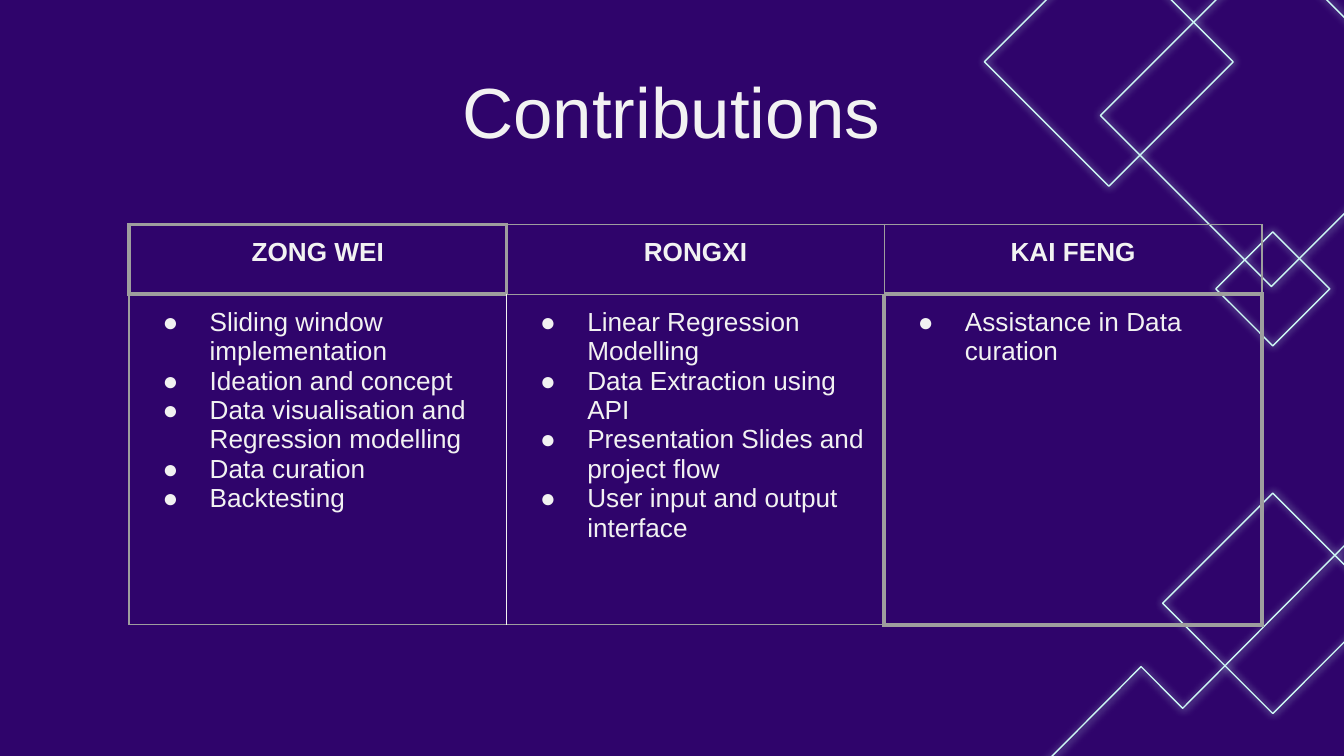
from lxml import etree
from pptx import Presentation, util as u
from pptx.dml.color import RGBColor
from pptx.enum import shapes, text
from pptx.oxml.ns import qn

WIDTH = 10
HEIGHT = WIDTH * 9 / 16
PURPLE, CYAN, WHITE, GREY = "2F046B", "CDF8F4", "F2F2F2", "9E9E9E"
THIN, THICK = 0.75, 2.25

# Centre x, centre y and side of each diamond
DIAMONDS = [(9.46, 0.86, 1.8), (8.25, 0.46, 1.31), (9.47, 2.15, 0.6), (9.47, 4.49, 1.16)]
ZIGZAG = [(10.39, 3.67), (8.8, 5.27), (8.49, 4.96), (6.74, 6.72)]

CONTRIBUTIONS = {
    "ZONG WEI": ["Sliding window implementation", "Ideation and concept",
                 "Data visualisation and Regression modelling",
                 "Data curation", "Backtesting"],
    "RONGXI": ["Linear Regression Modelling", "Data Extraction using API",
               "Presentation Slides and project flow",
               "User input and output interface"],
    "KAI FENG": ["Assistance in Data curation"],
}

# Widths of the left, right, top and bottom borders, by row and column
BORDERS = [
    [(THICK, THICK, THICK, THICK), (THICK, THIN, THIN, THIN), (THIN, THIN, THIN, THICK)],
    [(THIN, THIN, THICK, THIN), (THIN, THICK, THIN, THIN), (THICK, THICK, THICK, THICK)],
]
# The divider between the first two lists is white
WHITE_EDGES = {(1, 0, "R"), (1, 1, "L")}


def color(hex_string):
    return RGBColor.from_string(hex_string)


def add_color(parent, hex_string):
    return etree.SubElement(parent, qn("a:srgbClr"), val=hex_string)


def style_text(paragraph, size, bold=False):
    font = paragraph.font
    font.name, font.size, font.bold = "Arial", u.Pt(size), bold
    font.color.rgb = color(WHITE)


def glow_outline(shape):
    shape.fill.background()
    shape.line.color.rgb = color(CYAN)
    shape.line.width = u.Pt(THIN)
    shape.shadow.inherit = False
    effects = shape.element.spPr.find(qn("a:effectLst"))
    glow = etree.SubElement(effects, qn("a:outerShdw"), blurRad=str(u.Pt(4.5)),
                            dist="0", dir="0", algn="ctr", rotWithShape="0")
    add_color(glow, CYAN)


def add_diamond(slide, x, y, side):
    diamond = slide.shapes.add_shape(
        shapes.MSO_SHAPE.RECTANGLE, u.Inches(x - side / 2), u.Inches(y - side / 2),
        u.Inches(side), u.Inches(side))
    diamond.rotation = 45
    glow_outline(diamond)


def add_zigzag(slide, points):
    start, *rest = [(u.Inches(x), u.Inches(y)) for x, y in points]
    builder = slide.shapes.build_freeform(*start)
    builder.add_line_segments(rest, close=False)
    glow_outline(builder.convert_to_shape())


def place_title(slide, words):
    title = slide.shapes.title
    title.left, title.top = u.Inches(-0.57), u.Inches(-0.2)
    title.width, title.height = u.Inches(11.13), u.Inches(1.95)
    frame = title.text_frame
    frame.text = words
    frame.word_wrap = True
    frame.auto_size = text.MSO_AUTO_SIZE.NONE
    frame.vertical_anchor = text.MSO_ANCHOR.MIDDLE
    frame.margin_left = frame.margin_right = u.Inches(0.1)
    frame.margin_top = frame.margin_bottom = u.Inches(0.1)
    heading = frame.paragraphs[0]
    heading.alignment = text.PP_ALIGN.CENTER
    heading.line_spacing = 1.15
    style_text(heading, 38)
    # Bring the title in front of the decoration
    title.element.getparent().append(title.element)


def set_borders(cell, row, column):
    properties = cell._tc.get_or_add_tcPr()
    for index, (side, width) in enumerate(zip("LRTB", BORDERS[row][column])):
        edge = etree.Element(qn(f"a:ln{side}"), w=str(u.Pt(width)))
        fill = etree.SubElement(edge, qn("a:solidFill"))
        add_color(fill, WHITE if (row, column, side) in WHITE_EDGES else GREY)
        properties.insert(index, edge)


def add_bullet(paragraph):
    properties = paragraph._p.get_or_add_pPr()
    properties.set("marL", str(u.Inches(0.5)))
    properties.set("indent", str(u.Inches(-0.35)))
    # Bullet marks come before the default run properties
    marks = [etree.Element(qn("a:buClr")),
             etree.Element(qn("a:buSzPts"), val="1400"),
             etree.Element(qn("a:buFont"), typeface="Arial"),
             etree.Element(qn("a:buChar"), char="●")]
    add_color(marks[0], WHITE)
    for index, mark in enumerate(marks):
        properties.insert(index, mark)


def fill_cell(cell, lines, header):
    cell.fill.background()
    cell.margin_left = cell.margin_right = u.Inches(0.1)
    cell.margin_top = cell.margin_bottom = u.Inches(0.1)
    cell.text = "\n".join(lines)
    for paragraph in cell.text_frame.paragraphs:
        style_text(paragraph, 14, bold=header)
        if header:
            paragraph.alignment = text.PP_ALIGN.CENTER
        else:
            add_bullet(paragraph)


def add_contributions(slide):
    row_heights = (0.52, 2.46)
    table = slide.shapes.add_table(
        len(row_heights), len(CONTRIBUTIONS), u.Inches(0.96), u.Inches(1.67),
        u.Inches(8.43), u.Inches(sum(row_heights))).table
    table.first_row = table.horz_banding = False
    for row, height in zip(table.rows, row_heights):
        row.height = u.Inches(height)
    for column, (member, tasks) in enumerate(CONTRIBUTIONS.items()):
        for row, lines in enumerate(([member], tasks)):
            cell = table.cell(row, column)
            fill_cell(cell, lines, header=row == 0)
            set_borders(cell, row, column)


def main():
    deck = Presentation()
    deck.slide_width, deck.slide_height = u.Inches(WIDTH), u.Inches(HEIGHT)
    slide = deck.slides.add_slide(deck.slide_layouts[5])
    slide.background.fill.solid()
    slide.background.fill.fore_color.rgb = color(PURPLE)

    # Glowing decoration
    for diamond in DIAMONDS:
        add_diamond(slide, *diamond)
    add_zigzag(slide, ZIGZAG)

    # Content
    place_title(slide, "Contributions")
    add_contributions(slide)
    deck.save("out.pptx")


if __name__ == "__main__":
    main()
